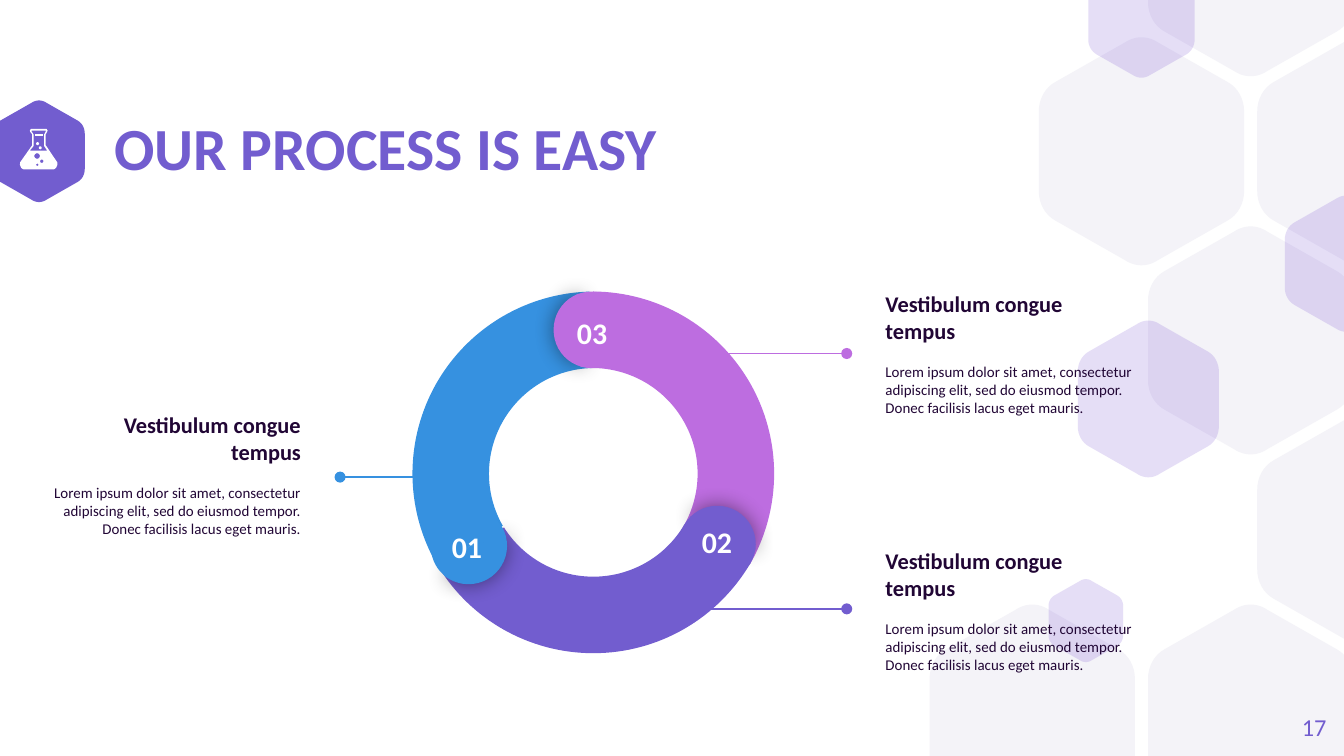
"""Build a slide with a three-part process ring, callouts and a hexagon backdrop."""
from dataclasses import dataclass, field
from math import cos, pi, sin

from lxml import etree
from pptx import Presentation
from pptx.dml.color import RGBColor
from pptx.enum import shapes as sh, text as tx
from pptx.oxml import ns
from pptx.util import Pt

HUES = {"violet": "725DCF", "pink": "BD6DE0", "blue": "3691E0", "deep": "5322C9",
        "pale": "F4F3F8", "ink": "210635", "white": "FFFFFF", "black": "000000"}
LEFT, MID, RIGHT = tx.PP_ALIGN.LEFT, tx.PP_ALIGN.CENTER, tx.PP_ALIGN.RIGHT
TALL = 405


def curve(a, b, c, d, end=1.0, n=8):
    spots = []
    for i in range(n + 1):
        t = end * i / n
        s = 1 - t
        mix = (s ** 3, 3 * s * s * t, 3 * s * t * t, t ** 3)
        spots.append(tuple(sum(m * p[k] for m, p in zip(mix, (a, b, c, d))) for k in (0, 1)))
    return spots


def hexagon(x, y, w):
    part = curve((1, .325), (1, .27), (.97, .22), (.92, .195))
    part += curve((.58, .02), (.53, -.01), (.47, -.01), (.42, .02), end=.5)
    half = part + [(1 - a, b) for a, b in reversed(part)]
    ring = half + [(1 - a, 1 - b) for a, b in half]
    return [(x + w * a, min(max(y + 1.105 * w * b, 0), TALL)) for a, b in ring]


def disc(x, y, r, n=16):
    return [(x + r * cos(2 * pi * i / n), y + r * sin(2 * pi * i / n)) for i in range(n)]


def put(thing, **fmt):
    for key, val in fmt.items():
        setattr(thing, key, val)


def node(root, tag, **attrs):
    return etree.SubElement(root, ns.qn(tag), attrs)


@dataclass
class Deck:
    slide: object
    face: str = "Calibri"
    hues: dict = field(default_factory=lambda: HUES)

    def paint(self, shape, hue, alpha=None, glow=False):
        shape.shadow.inherit = False
        shape.fill.solid()
        shape.fill.fore_color.rgb = RGBColor.from_string(self.hues[hue])
        shape.line.fill.background()
        props = shape._element.spPr
        if alpha:
            tint = props.find(ns.qn("a:solidFill"))[0]
            node(tint, "a:alpha", val=str(alpha * 1000))
        if glow:
            cast = node(props.find(ns.qn("a:effectLst")), "a:outerShdw",
                        blurRad=str(Pt(11.2)), dist="0", dir="0", rotWithShape="0")
            tint = node(cast, "a:srgbClr", val=self.hues["black"])
            node(tint, "a:alpha", val="43000")

    def outline(self, loops, hue, alpha=None):
        pts = [[(Pt(x), Pt(y)) for x, y in loop] for loop in loops]
        pen = self.slide.shapes.build_freeform(*pts[0][0], scale=1.0)
        pen.add_line_segments(pts[0][1:])
        for loop in pts[1:]:
            pen.move_to(*loop[0])
            pen.add_line_segments(loop[1:])
        self.paint(pen.convert_to_shape(), hue, alpha)

    def preset(self, kind, box, hue, turn, adj, glow=False):
        shape = self.slide.shapes.add_shape(kind, *map(Pt, box))
        shape.rotation = turn
        for i, val in enumerate(adj):
            shape.adjustments[i] = val
        self.paint(shape, hue, glow=glow)

    def line(self, x, y, end, hue):
        link = self.slide.shapes.add_connector(
            sh.MSO_CONNECTOR.STRAIGHT, Pt(x), Pt(y), Pt(end), Pt(y))
        link.line.width = Pt(.75)
        link.line.color.rgb = RGBColor.from_string(self.hues[hue])
        node(link.line._get_or_add_ln(), "a:tailEnd", type="oval")
        node(link._element.spPr, "a:effectLst")

    def fill(self, shape, paras, pad, anchor, align):
        frame = shape.text_frame
        put(frame, word_wrap=True, auto_size=tx.MSO_AUTO_SIZE.NONE, vertical_anchor=anchor,
            **{"margin_" + s: Pt(pad) for s in ("left", "top", "right", "bottom")})
        for i, (words, size, bold, hue, fmt) in enumerate(paras):
            para = frame.add_paragraph() if i else frame.paragraphs[0]
            put(para, alignment=align, **fmt)
            run = para.add_run()
            run.text = words
            put(run.font, name=self.face, size=Pt(size), bold=bold)
            run.font.color.rgb = RGBColor.from_string(self.hues[hue])

    def text(self, box, paras, pad=7.2, anchor=tx.MSO_ANCHOR.MIDDLE, align=LEFT):
        self.fill(self.slide.shapes.add_textbox(*map(Pt, box)), paras, pad, anchor, align)

    def title(self, box, words):
        head = self.slide.shapes.title
        put(head, **dict(zip(("left", "top", "width", "height"), map(Pt, box))))
        self.fill(head, [(words, 32, True, "violet", {"line_spacing": .9})],
                  0, tx.MSO_ANCHOR.MIDDLE, LEFT)


def backdrop(deck):
    for col, row in ((0, 4), (2, 4), (3, 1), (2, 0), (2, 2), (1, 1), (3, 3)):
        deck.outline([hexagon(498 + 58.5 * col, -81 + 101.3 * row, 110)], "pale")
    for spot in ((688.3, 105, 65.7), (561.7, 310.4, 40), (583, -21.5, 57), (577.4, 172, 75.6)):
        deck.outline([hexagon(*spot)], "deep", 15)
    deck.outline([hexagon(-3.6, 54, 49)], "violet")


def flask(deck):
    glass = [(16.6, 69.1), (25, 69.1), (25.5, 70), (25.2, 70.8), (24.5, 72), (24.5, 77.8),
             (30.7, 87), (30.8, 88.3), (30, 90), (29, 90.7), (12.5, 90.7), (11.4, 90),
             (10.7, 88.3), (10.8, 87), (17.3, 77.8), (17.3, 72), (16.3, 70.8), (16, 70)]
    neck = [(16.9, 70), (24.7, 70), (24.5, 70.6), (23.7, 72), (23.7, 78.3),
            (25.3, 80.7), (16, 80.7), (18, 78.3), (18, 72), (17, 70.6)]
    drops = [disc(19.9, 83.6, 1.5), disc(22.4, 86.4, .9), disc(20, 88.3, .6)]
    deck.outline([glass, neck] + drops, "white")
    for loop in (disc(21.6, 79.2, .8), disc(20.2, 77, .8),
                 [(18.8, 72), (23, 72), (23, 72.7), (18.8, 72.7)]):
        deck.outline([loop], "white")


def callouts(deck):
    body = ("Lorem ipsum dolor sit amet, consectetur adipiscing elit, "
            "sed do eiusmod tempor. Donec facilisis lacus eget mauris.")
    paras = [("Vestibulum congue tempus", 12, True, "ink", {}),
             (body, 8, False, "ink", {"space_before": Pt(10)})]
    for x, y, align, link in ((19.4, 208.8, RIGHT, (226.8, 255.6, 182.2, "blue")),
                              (467.3, 144, LEFT, (362.9, 189.4, 453.6, "pink")),
                              (467.3, 281.5, LEFT, (362.9, 326.2, 453.6, "violet"))):
        deck.text((x, y, 149, 90.7), paras, align=align)
        deck.line(*link)


def ring(deck):
    arcs = (("pink", 219.6, 156.2, 60, 197.82), ("violet", 220.3, 154.8, 180, 196.63),
            ("blue", 221, 156.2, 300, 197.03))
    for hue, x, y, turn, end in arcs:
        deck.preset(sh.MSO_SHAPE.BLOCK_ARC, (x, y, 195.1, 195.1), hue, turn,
                    (126.23, end, .21))
    caps = (("blue", 231.1, 272.2, 240), ("pink", 296.6, 156.2, 0), ("violet", 364.3, 270.7, 120))
    for hue, x, y, turn in caps:
        box = (x, y, 40.3, 41)
        deck.preset(sh.MSO_SHAPE.PIE, box, hue, turn + .7, (61.9, 149.96), True)
        deck.preset(sh.MSO_SHAPE.PIE, box, hue, (turn + 180) % 360, (40.28, 171.84))
    for mark, x, y in (("03 ", 301, 161.3), ("01 ", 234, 275.8), ("02 ", 367.9, 273.6)):
        deck.text((x, y, 36, 18.7), [(mark, 16, True, "white", {})],
                  anchor=tx.MSO_ANCHOR.TOP, align=MID)


def main():
    show = Presentation()
    put(show, slide_width=Pt(720), slide_height=Pt(TALL))
    deck = Deck(show.slides.add_slide(show.slide_layouts[5]))
    backdrop(deck)
    deck.title((61.2, 65.5, 473, 31), "OUR PROCESS IS EASY")
    deck.text((667.4, 373.7, 43.2, 31), [("17", 13, False, "violet", {})], 0, align=RIGHT)
    flask(deck)
    callouts(deck)
    ring(deck)
    show.save("out.pptx")


if __name__ == "__main__":
    main()
